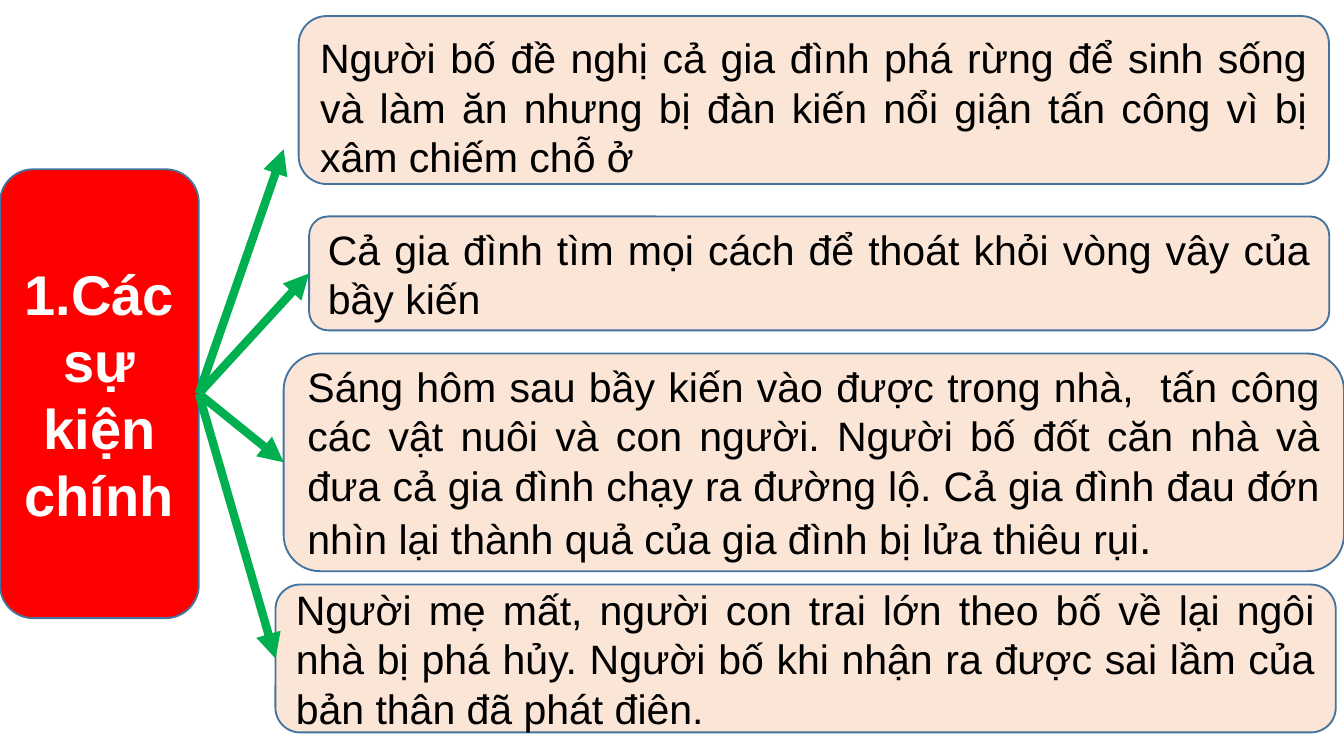
"""Build a slide that links one red heading to four story events."""
import pptx
import pptx.util
import pptx.dml.color
import pptx.enum.shapes
import pptx.enum.text
import pptx.oxml
import pptx.oxml.ns

Pt = pptx.util.Pt
Align = pptx.enum.text.PP_ALIGN
COLORS = {
    "red": "FF0000",
    "peach": "FBE5D6",
    "edge": "43739E",
    "green": "00B050",
    "white": "FFFFFF",
    "black": "000000",
}
ROOT = (0, 90.7, 106.5, 240.5)
EVENTS = [
    ((160, 8.6, 552, 90),
     "Người bố đề nghị cả gia đình phá rừng để sinh sống và làm ăn nhưng bị "
     "đàn kiến nổi giận tấn công vì bị xâm chiếm chỗ ở"),
    ((165.6, 116, 546.5, 61),
     "Cả gia đình tìm mọi cách để thoát khỏi vòng vây của bầy kiến"),
    ((152, 189.4, 568, 116.6),
     "Sáng hôm sau bầy kiến vào được trong nhà,  tấn công các vật nuôi và con "
     "người. Người bố đốt căn nhà và đưa cả gia đình chạy ra đường lộ. Cả gia "
     "đình đau đớn nhìn lại thành quả của gia đình bị lửa thiêu rụi"),
    ((147.6, 313.2, 568, 79.2),
     "Người mẹ mất, người con trai lớn theo bố về lại ngôi nhà bị phá hủy. "
     "Người bố khi nhận ra được sai lầm của bản thân đã phát điên."),
]


def color(name):
    return pptx.dml.color.RGBColor.from_string(COLORS[name])


def style(run, size, ink, bold=False):
    run.font.name = "Arial"
    run.font.size = Pt(size)
    run.font.bold = bold
    run.font.color.rgb = color(ink)


def add_box(slide, place, text, fill, ink, size, align, bold=False):
    kind = pptx.enum.shapes.MSO_SHAPE.ROUNDED_RECTANGLE
    box = slide.shapes.add_shape(kind, *map(Pt, place))
    box.shadow.inherit = False
    box.fill.solid()
    box.fill.fore_color.rgb = color(fill)
    box.line.color.rgb = color("edge")
    box.line.width = Pt(1)
    frame = box.text_frame
    frame.word_wrap = True
    frame.vertical_anchor = pptx.enum.text.MSO_ANCHOR.MIDDLE
    frame.text = text
    para = frame.paragraphs[0]
    para.alignment = align
    style(para.runs[0], size, ink, bold)
    return box


def add_arrow(slide, start, end):
    kind = pptx.enum.shapes.MSO_CONNECTOR.STRAIGHT
    arrow = slide.shapes.add_connector(kind, *map(Pt, start + end))
    arrow.line.color.rgb = color("green")
    arrow.line.width = Pt(4.5)
    line = arrow.line._get_or_add_ln()
    qn = pptx.oxml.ns.qn
    line.append(line.makeelement(qn("a:tailEnd"), {"type": "triangle"}))
    props = arrow._element.spPr
    props.append(props.makeelement(qn("a:effectLst"), {}))


def main():
    deck = pptx.Presentation()
    deck.slide_width, deck.slide_height = Pt(720), Pt(405)
    slide = deck.slides.add_slide(deck.slide_layouts[6])
    add_box(slide, ROOT, "1.Các sự kiện chính", "red", "white", 30,
            Align.CENTER, True)
    boxes = [add_box(slide, place, text, "peach", "black", 22, Align.JUSTIFY)
             for place, text in EVENTS]
    boxes[0].text_frame.margin_top = Pt(10.6)
    stop = boxes[2].text_frame.paragraphs[0].add_run()
    stop.text = "."
    style(stop, 24, "black")
    left, top, width, height = ROOT
    start = (left + width, top + height / 2)
    ends = [(x, y + h / 2) for (x, y, w, h), text in EVENTS]
    ends[0] = (152, 80)
    for end in ends:
        add_arrow(slide, start, end)
    deck.save("out.pptx")


if __name__ == "__main__":
    main()
